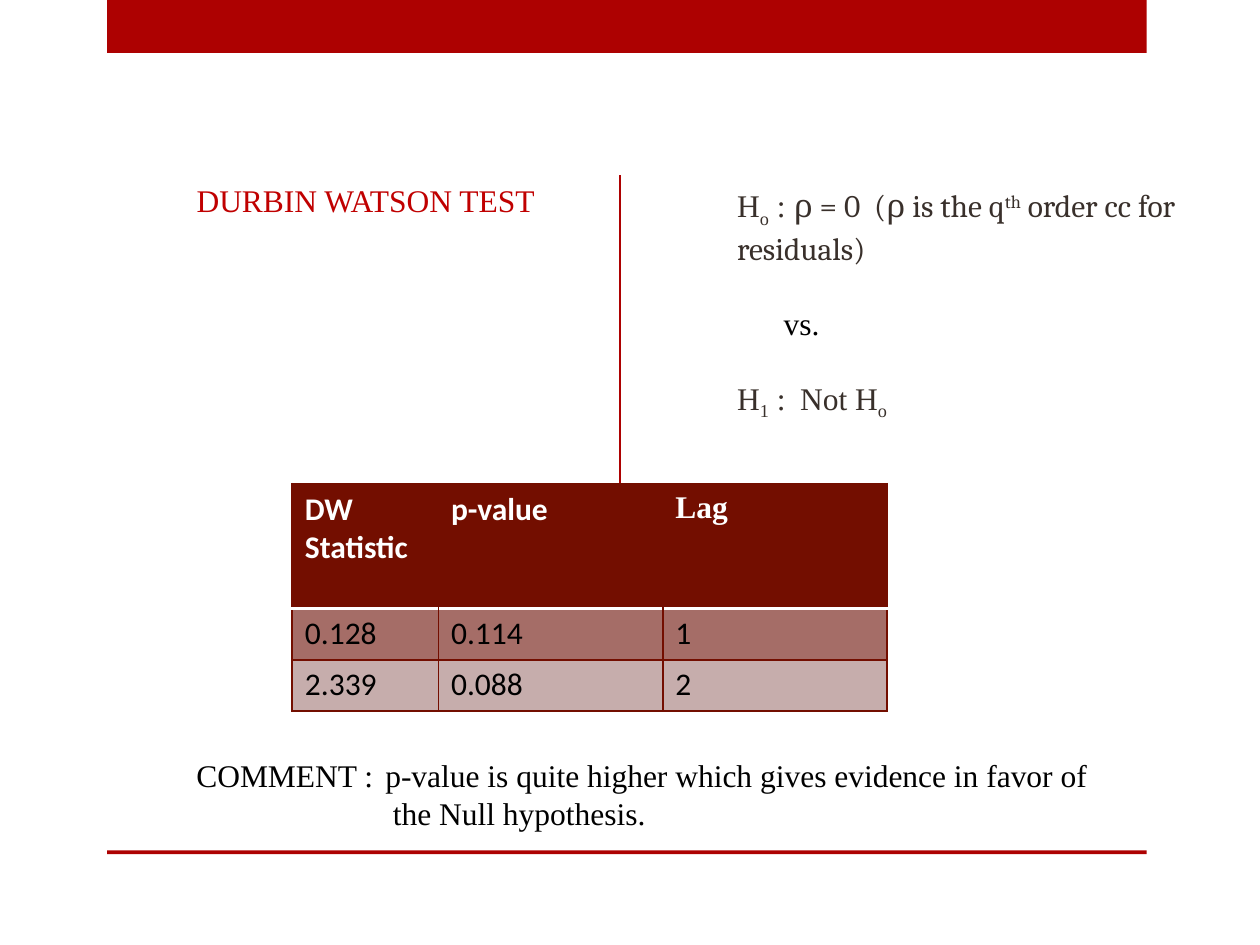
from lxml import etree
from pptx import Presentation
from pptx import util as u
from pptx.dml.color import RGBColor
from pptx.enum import shapes, text
from pptx.oxml.ns import qn

COLORS = {
    "bar": "AD0101", "title": "C00000", "formula": "39302B", "black": "000000",
    "white": "FFFFFF", "table": "730E00", "band_dark": "A56D67", "band_light": "C6ADAC",
}
SERIF = "Times New Roman"
SUBSCRIPT, SUPERSCRIPT = -25000, 30000


def rgb(name):
    return RGBColor.from_string(COLORS[name])


def style_run(run, color, face=SERIF, bold=False, baseline=0):
    run.font.size = u.Pt(18)
    run.font.name = face
    run.font.bold = bold
    run.font.color.rgb = rgb(color)
    if baseline:
        run.font._element.set("baseline", str(baseline))


def format_para(para, indent=0, tab=None, before=0):
    """Left-aligned paragraph without a bullet, with an optional tab stop."""
    props = para._p.get_or_add_pPr()
    props.set("marL", str(u.Inches(indent)))
    props.set("indent", "0")
    etree.SubElement(props, qn("a:buNone"))
    if tab:
        stops = etree.SubElement(props, qn("a:tabLst"))
        etree.SubElement(stops, qn("a:tab"), pos=str(u.Inches(tab)), algn="l")
    para.alignment = text.PP_ALIGN.LEFT
    para.space_before = u.Pt(before)


def place_text(box, left, top, width, height):
    box.left, box.top = u.Inches(left), u.Inches(top)
    box.width, box.height = u.Inches(width), u.Inches(height)
    frame = box.text_frame
    frame.word_wrap = True
    frame.auto_size = text.MSO_AUTO_SIZE.NONE
    frame.vertical_anchor = text.MSO_ANCHOR.TOP
    return frame


def add_bar(page, top, height):
    bar = page.shapes.add_shape(shapes.MSO_SHAPE.RECTANGLE, u.Inches(0.85),
                                u.Inches(top), u.Inches(8.25), u.Inches(height))
    bar.shadow.inherit = False
    bar.fill.solid()
    bar.fill.fore_color.rgb = rgb("bar")
    bar.line.fill.background()


def add_divider(page):
    line = page.shapes.add_connector(shapes.MSO_CONNECTOR.STRAIGHT, u.Inches(4.92),
                                     u.Inches(1.39), u.Inches(4.92), u.Inches(4.62))
    line.line.color.rgb = rgb("bar")
    line.line.width = u.Pt(1.25)
    etree.SubElement(line._element.spPr, qn("a:effectLst"))


def fill_title(page):
    frame = place_text(page.shapes.title, 1.46, 1.39, 3.1, 0.4)
    frame.text = "DURBIN WATSON TEST"
    format_para(frame.paragraphs[0])
    style_run(frame.paragraphs[0].runs[0], "title")


def fill_hypotheses(page):
    frame = place_text(page.placeholders[1], 5.75, 1.43, 3.97, 2.22)
    # Each line: paragraph format, colour, runs of (text, font, baseline)
    lines = [
        ({}, "formula", [("H", SERIF, 0), ("o", SERIF, SUBSCRIPT), (" : ", SERIF, 0),
                         ("ρ = 0  (ρ is the q", "Cambria", 0),
                         ("th", "Cambria", SUPERSCRIPT),
                         (" order cc for residuals)", "Cambria", 0)]),
        ({"indent": 0.37, "before": 21}, "black", [("vs.", SERIF, 0)]),
        ({"tab": 0.58, "before": 21}, "formula",
         [("H", SERIF, 0), ("1", SERIF, SUBSCRIPT), (" :\tNot H", SERIF, 0),
          ("o", SERIF, SUBSCRIPT)]),
    ]
    for index, (layout, color, runs) in enumerate(lines):
        para = frame.add_paragraph() if index else frame.paragraphs[0]
        format_para(para, **layout)
        for words, face, baseline in runs:
            span = para.add_run()
            span.text = words
            style_run(span, color, face, baseline=baseline)


def set_borders(cell, borders):
    """Borders map a side (L, R, T, B) to (colour, points); None hides the side."""
    props = cell._tc.get_or_add_tcPr()
    for position, side in enumerate("LRTB"):
        color, points = borders[side] or (None, 0)
        edge = etree.Element(qn(f"a:ln{side}"), w=str(u.Pt(points)))
        if color:
            fill = etree.SubElement(edge, qn("a:solidFill"))
            etree.SubElement(fill, qn("a:srgbClr"), val=COLORS[color])
        else:
            etree.SubElement(edge, qn("a:noFill"))
        props.insert(position, edge)


def add_results_table(page):
    rows = [("DW Statistic", "p-value", "Lag"), ("0.128", "0.114", "1"),
            ("2.339", "0.088", "2")]
    fills = ["table", "band_dark", "band_light"]
    table = page.shapes.add_table(3, 3, u.Inches(2.32), u.Inches(3.84),
                                  u.Inches(4.72), u.Inches(1.79)).table
    for column, width in zip(table.columns, (1.16, 1.78, 1.78)):
        column.width = u.Inches(width)
    for row, height in zip(table.rows, (0.99, 0.4, 0.4)):
        row.height = u.Inches(height)

    grid, rule = ("table", 1.25), ("white", 1.75)
    for r, values in enumerate(rows):
        for c, value in enumerate(values):
            cell = table.cell(r, c)
            cell.text = value
            cell.fill.solid()
            cell.fill.fore_color.rgb = rgb(fills[r])
            header = r == 0
            style_run(cell.text_frame.paragraphs[0].runs[0],
                      "white" if header else "black",
                      SERIF if value == "Lag" else "Calibri", bold=header)
            borders = dict.fromkeys("LRTB", grid)
            if header:
                borders.update(L=None if c else grid, R=grid if c == 2 else None, B=rule)
            elif r == 1:
                borders["T"] = rule
            set_borders(cell, borders)


def add_comment(page):
    box = page.shapes.add_textbox(0, 0, 0, 0)
    frame = place_text(box, 1.46, 5.95, 7.5, 0.71)
    frame.text = ("COMMENT :\tp-value is quite higher which gives evidence in favor of\n"
                  "the Null hypothesis.")
    first, second = frame.paragraphs
    format_para(first, tab=1.53)
    format_para(second, indent=1.56)
    for para in frame.paragraphs:
        for span in para.runs:
            style_run(span, "black")


def main():
    deck = Presentation()
    deck.slide_width, deck.slide_height = u.Inches(10), u.Inches(7.5)
    page = deck.slides.add_slide(deck.slide_layouts[1])

    # Top band and bottom rule
    add_bar(page, 0, 0.42)
    add_bar(page, 6.75, 0.03)

    # Test name, divider and hypotheses
    fill_title(page)
    add_divider(page)
    fill_hypotheses(page)

    # Results and conclusion
    add_results_table(page)
    add_comment(page)
    deck.save("out.pptx")


if __name__ == "__main__":
    main()
